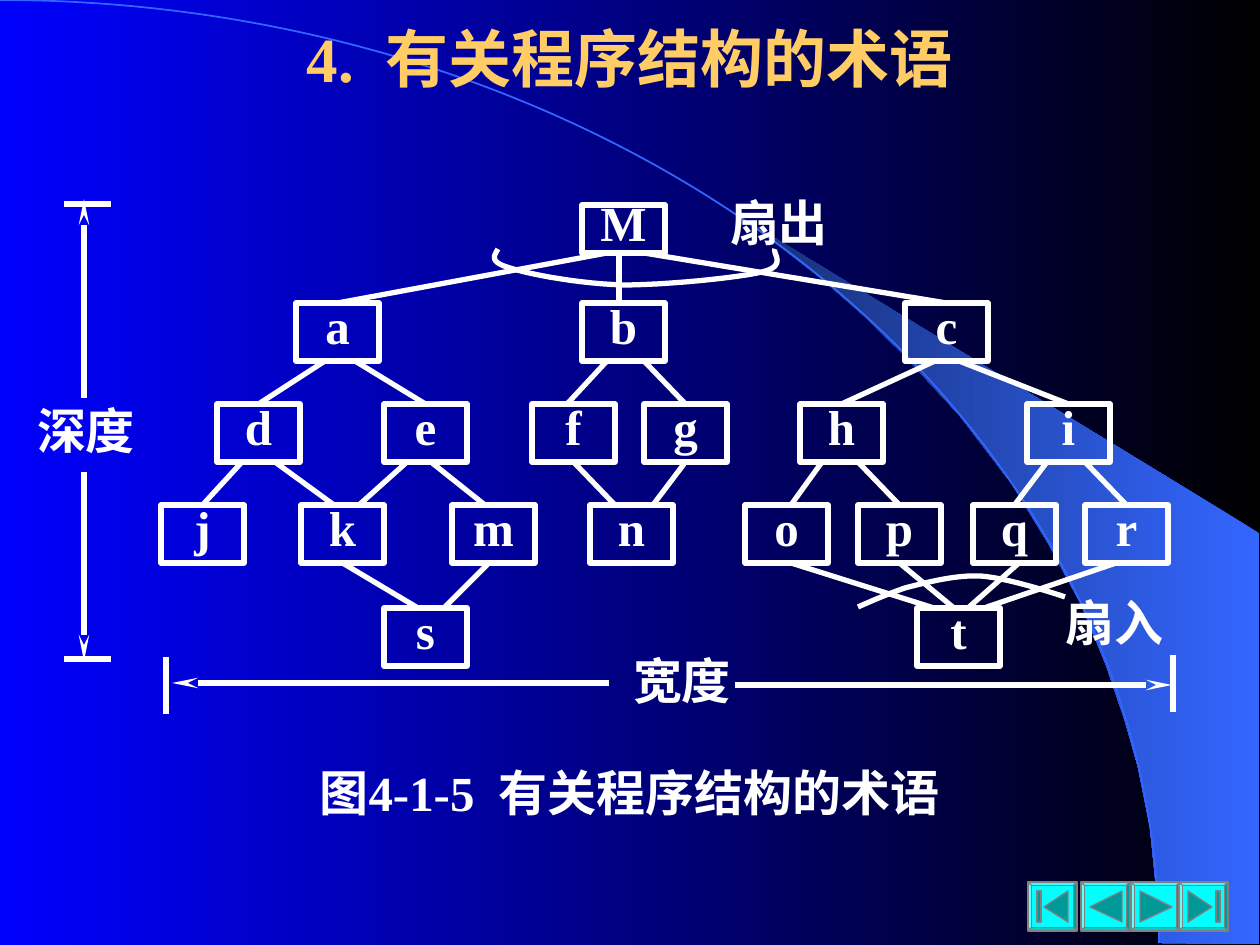
from lxml import etree
from pptx import Presentation
from pptx import util as u
from pptx.dml.color import RGBColor
from pptx.enum import shapes, text
from pptx.oxml.ns import qn

SCALE = 914400 / 126
FONT = "Times New Roman"
COLORS = {
    "white": "FFFFFF", "title": "FFCC66", "black": "000000", "blue": "0000FF",
    "sweep": "3366FF", "shade": "172F75", "button": "00FFFF", "icon": "009999", "edge": "808080",
}
NODE_WIDTH, NODE_HEIGHT, ROOT_HEIGHT = 83, 58, 48
ROWS = [
    (205, {"M": 582}),
    (303, {"a": 296, "b": 582, "c": 905}),
    (404, {"d": 217, "e": 384, "f": 532, "g": 644, "h": 800, "i": 1027}),
    (505, {"j": 161, "k": 301, "m": 452, "n": 590, "o": 745, "p": 858, "q": 973, "r": 1085}),
    (608, {"s": 384, "t": 917}),
]
CALLS = [
    ("M", 607, "a", 338), ("M", 619, "b", 619), ("M", 644, "c", 946),
    ("a", 325, "d", 255), ("a", 355, "e", 426), ("b", 607, "f", 567), ("b", 644, "g", 687),
    ("c", 935, "h", 838), ("c", 959, "i", 1065),
    ("d", 242, "j", 204), ("d", 275, "k", 334), ("e", 407, "k", 359), ("e", 431, "m", 485),
    ("f", 573, "n", 615), ("g", 682, "n", 653), ("h", 822, "o", 791), ("h", 858, "p", 901),
    ("i", 1047, "q", 1018), ("i", 1085, "r", 1128),
    ("k", 346, "s", 418), ("m", 489, "s", 444),
    ("o", 791, "t", 934), ("p", 900, "t", 954), ("q", 1019, "t", 968), ("r", 1116, "t", 984),
]
FAN_OUT = [(498, 249), (494, 256), (489, 262), (510, 268), (532, 275), (582, 284), (624, 285),
           (665, 285), (737, 278), (762, 272), (788, 266), (772, 253), (775, 249)]
FAN_IN = [(858, 607), (872, 601), (885, 595), (905, 588), (925, 583), (954, 575), (980, 576),
          (1007, 578), (1050, 592), (1065, 597)]
SWEEP = [(1159, 943), (1259, 944), (1259, 533), (742, 218), (786, 251), (823, 280), (863, 315),
         (902, 353), (960, 416), (1012, 484), (1048, 543), (1081, 604), (1106, 665), (1125, 721),
         (1138, 767), (1150, 827), (1155, 877)]


def px(value):
    return u.Emu(round(value * SCALE))


def rgb(name):
    return RGBColor.from_string(COLORS[name])


def apply(target, values):
    for name, value in values.items():
        setattr(target, name, value)


def paint(shape, fill=None, line=None, width=3):
    shape.shadow.inherit = False
    if fill:
        shape.fill.solid()
        shape.fill.fore_color.rgb = rgb(fill)
    else:
        shape.fill.background()
    if line:
        shape.line.color.rgb = rgb(line)
        shape.line.width = u.Pt(width)
    else:
        shape.line.fill.background()


def shade(fill, start, end):
    fill.gradient()
    fill.gradient_angle = 180
    for stop, name in zip(fill.gradient_stops, (start, end)):
        stop.color.rgb = rgb(name)


def write(shape, words, size=28, color="white", align=text.PP_ALIGN.CENTER,
          anchor=text.MSO_ANCHOR.MIDDLE, spacing=1.0):
    apply(shape.text_frame, {
        "word_wrap": True, "vertical_anchor": anchor,
        "margin_left": 0, "margin_right": 0, "margin_top": 0, "margin_bottom": 0,
    })
    paragraph = shape.text_frame.paragraphs[0]
    apply(paragraph, {"text": words, "alignment": align, "line_spacing": spacing})
    apply(paragraph.runs[0].font, {"name": FONT, "size": u.Pt(size), "bold": True})
    paragraph.runs[0].font.color.rgb = rgb(color)


def add_label(slide, box, words, **style):
    write(slide.shapes.add_textbox(*map(px, box)), words, **style)


def add_preset(slide, kind, box, **style):
    shape = slide.shapes.add_shape(kind, *map(px, box))
    paint(shape, **style)
    return shape


def add_outline(slide, points, closed=False, **style):
    points = [(px(x), px(y)) for x, y in points]
    builder = slide.shapes.build_freeform(*points[0])
    builder.add_line_segments(points[1:], close=closed)
    shape = builder.convert_to_shape()
    paint(shape, **style)
    return shape


def bezier(points, steps=12):
    curve = [points[0]]
    for first in range(0, len(points) - 1, 3):
        controls = points[first:first + 4]
        for step in range(1, steps + 1):
            t = step / steps
            weights = ((1 - t) ** 3, 3 * t * (1 - t) ** 2, 3 * t * t * (1 - t), t ** 3)
            curve.append(tuple(sum(w * p[axis] for w, p in zip(weights, controls))
                               for axis in (0, 1)))
    return curve


def add_line(slide, start, end, arrow=False):
    line = slide.shapes.add_connector(shapes.MSO_CONNECTOR.STRAIGHT, *map(px, (*start, *end)))
    line.line.color.rgb = rgb("white")
    line.line.width = u.Pt(3)
    properties = line._element.spPr
    if arrow:
        etree.SubElement(properties.find(qn("a:ln")), qn("a:tailEnd"),
                         type="stealth", w="sm", len="lg")
    etree.SubElement(properties, qn("a:effectLst"))
    return line


def add_nodes(slide):
    nodes = {}
    for top, row in ROWS:
        for name, left in row.items():
            height = ROOT_HEIGHT if name == "M" else NODE_HEIGHT
            nodes[name] = add_preset(slide, shapes.MSO_SHAPE.RECTANGLE,
                                     (left, top, NODE_WIDTH, height), line="white")
            write(nodes[name], name, spacing=0.7)
    return nodes


def add_call(slide, parent, parent_x, child, child_x):
    line = add_line(slide, (parent_x, (parent.top + parent.height) / SCALE),
                    (child_x, child.top / SCALE))
    joins = ((parent, parent_x, line.begin_connect, 2), (child, child_x, line.end_connect, 0))
    for node, x, connect, side in joins:
        if abs(node.left + node.width / 2 - px(x)) <= px(4):
            connect(node, side)


def add_button(slide, left, pointing, bar):
    top, size = 882, 49
    button = add_preset(slide, shapes.MSO_SHAPE.BEVEL, (left, top, size, size),
                        fill="button", line="edge", width=0.75)
    button.adjustments[0] = 0.07
    inset = 16 if bar and pointing < 0 else 9
    width = 24 if bar else 32
    base, tip = (left + inset, left + inset + width)[::pointing]
    add_outline(slide, [(base, 891), (tip, 907), (base, 922)], closed=True,
                fill="icon", line="edge", width=0.75)
    if bar:
        bar_left = left + (9 if pointing < 0 else 37)
        add_preset(slide, shapes.MSO_SHAPE.RECTANGLE, (bar_left, 891, 4, 31),
                   fill="icon", line="edge", width=0.75)


def add_backdrop(slide):
    shade(slide.background.fill, "black", "blue")
    sweep = add_outline(slide, SWEEP, closed=True)
    shade(sweep.fill, "sweep", "shade")
    add_preset(slide, shapes.MSO_SHAPE.ARC, (-1159, 0, 2318, 1886), line="sweep", width=1)


def add_dimensions(slide):
    for start, end in [((166, 657), (166, 714)), ((1173, 655), (1173, 712)),
                       ((64, 204), (111, 204)), ((64, 659), (111, 659))]:
        add_line(slide, start, end)
    for start, end in [((735, 685), (1172, 685)), ((609, 683), (172, 683)),
                       ((84, 472), (84, 661)), ((84, 398), (84, 199))]:
        add_line(slide, start, end, arrow=True)
    add_label(slide, (627, 651, 110, 70), "宽度", anchor=text.MSO_ANCHOR.TOP)
    add_label(slide, (31, 403, 110, 54), "深度")


def main():
    presentation = Presentation()
    apply(presentation, {"slide_width": px(1260), "slide_height": px(945)})
    slide = presentation.slides.add_slide(presentation.slide_layouts[6])
    add_backdrop(slide)
    add_label(slide, (94, 21, 1071, 73), "4.  有关程序结构的术语", size=36, color="title")
    add_label(slide, (94, 762, 1071, 72), "图4-1-5  有关程序结构的术语",
              anchor=text.MSO_ANCHOR.TOP)
    for left, pointing, bar in [(1028, -1, True), (1081, -1, False),
                                (1131, 1, False), (1179, 1, True)]:
        add_button(slide, left, pointing, bar)
    nodes = add_nodes(slide)
    for parent, parent_x, child, child_x in CALLS:
        add_call(slide, nodes[parent], parent_x, nodes[child], child_x)
    for fan in (FAN_OUT, FAN_IN):
        add_outline(slide, bezier(fan), line="white")
    add_label(slide, (730, 199, 110, 45), "扇出", align=text.PP_ALIGN.JUSTIFY)
    add_label(slide, (1066, 599, 110, 45), "扇入", align=text.PP_ALIGN.JUSTIFY)
    add_dimensions(slide)
    presentation.save("out.pptx")


if __name__ == "__main__":
    main()
